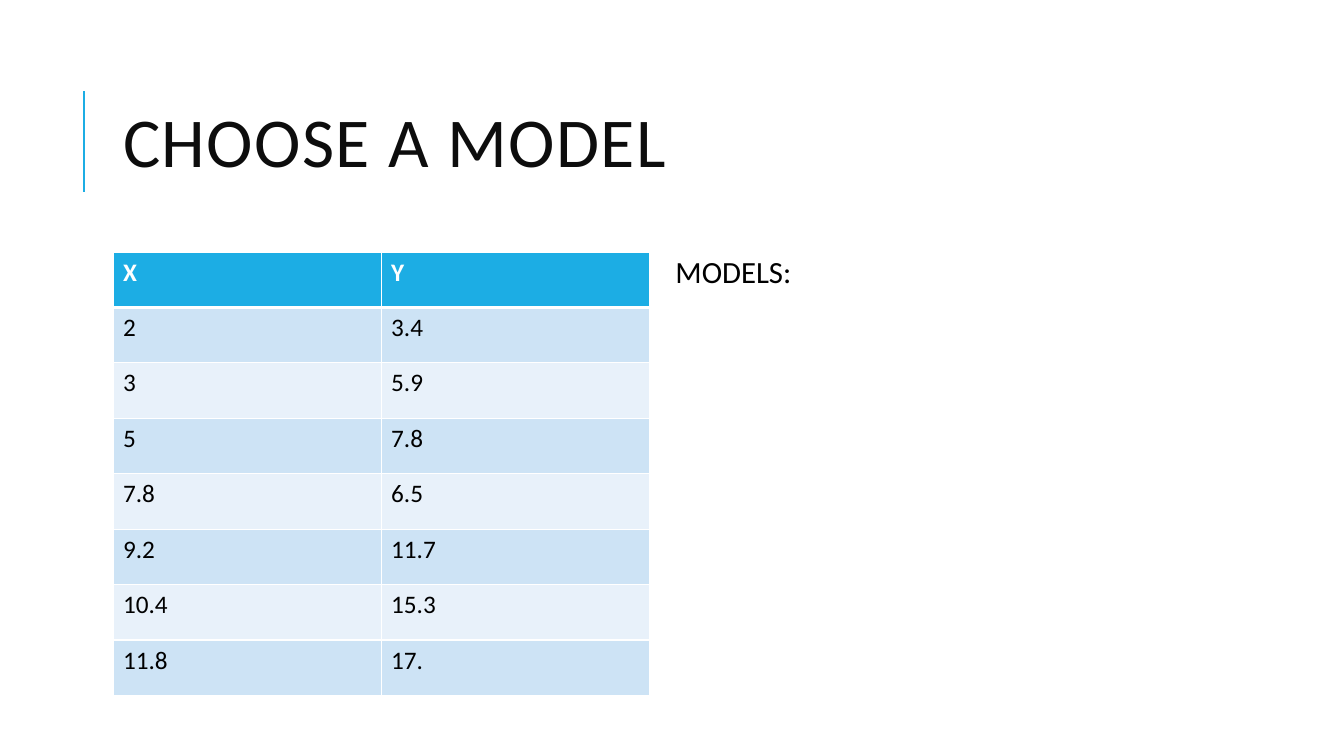
from pptx import Presentation
from pptx.dml.color import RGBColor
from pptx.enum.shapes import MSO_CONNECTOR
from pptx.enum.text import MSO_ANCHOR, PP_ALIGN
from pptx.oxml.ns import qn
from pptx.util import Inches, Pt
from lxml import etree

STRAIGHT = MSO_CONNECTOR.STRAIGHT
MIDDLE = MSO_ANCHOR.MIDDLE
LEFT = PP_ALIGN.LEFT

WHITE = RGBColor(0xFF, 0xFF, 0xFF)
BLACK = RGBColor(0x00, 0x00, 0x00)
INK = RGBColor(0x0D, 0x0D, 0x0D)
ACCENT = RGBColor(0x1C, 0xAD, 0xE4)
BANDS = (RGBColor(0xE8, 0xF1, 0xFA), RGBColor(0xCD, 0xE3, 0xF5))
FONT = "Calibri"
TITLE_ONLY = 5

DATA = [
    ("X", "Y"),
    ("2", "3.4"),
    ("3", "5.9"),
    ("5", "7.8"),
    ("7.8", "6.5"),
    ("9.2", "11.7"),
    ("10.4", "15.3"),
    ("11.8", "17."),
]


def format_text(paragraph, text, size, color, bold=False):
    paragraph.text = text
    paragraph.alignment = LEFT
    font = paragraph.font
    font.name, font.size, font.bold = FONT, Pt(size), bold
    font.color.rgb = color


def add_title(slide, left, top, width, height):
    title = slide.shapes.title
    title.left, title.top = Inches(left), Inches(top)
    title.width, title.height = Inches(width), Inches(height)
    frame = title.text_frame
    frame.vertical_anchor = MIDDLE
    frame.word_wrap = True
    paragraph = frame.paragraphs[0]
    format_text(paragraph, "CHOOSE A MODEL", 50, INK)
    paragraph.line_spacing = 0.8
    paragraph.runs[0]._r.get_or_add_rPr().set("spc", "100")

    rule_left = Inches(left - 0.29)
    rule = slide.shapes.add_connector(
        STRAIGHT, rule_left, Inches(top + 1.26), rule_left, Inches(top + 0.26))
    rule.line.color.rgb = ACCENT
    rule.line.width = Pt(1.5)
    etree.SubElement(rule._element.spPr, qn("a:effectLst"))


def set_borders(cell, bottom_width):
    properties = cell._tc.get_or_add_tcPr()
    widths = {"a:lnL": 1, "a:lnR": 1, "a:lnT": 1, "a:lnB": bottom_width}
    for side, width in widths.items():
        border = etree.SubElement(properties, qn(side), w=str(Pt(width)))
        fill = etree.SubElement(border, qn("a:solidFill"))
        etree.SubElement(fill, qn("a:srgbClr"), val=str(WHITE))


def add_data_table(slide, left, top, width, height):
    table = slide.shapes.add_table(
        len(DATA), len(DATA[0]), Inches(left), Inches(top),
        Inches(width), Inches(height)).table
    for row_index, values in enumerate(DATA):
        header = row_index == 0
        for column_index, value in enumerate(values):
            cell = table.cell(row_index, column_index)
            set_borders(cell, 3 if header else 1)
            cell.fill.solid()
            cell.fill.fore_color.rgb = ACCENT if header else BANDS[row_index % 2]
            format_text(cell.text_frame.paragraphs[0], value, 18,
                        WHITE if header else BLACK, header)


def add_models(slide, left, top, width, height):
    box = slide.shapes.add_textbox(
        Inches(left), Inches(top), Inches(width), Inches(height))
    frame = box.text_frame
    frame.word_wrap = True
    frame.margin_left = Inches(0.15)
    frame.margin_top = frame.margin_right = frame.margin_bottom = Inches(0.05)
    paragraph = frame.paragraphs[0]
    format_text(paragraph, "MODELS:", 22, BLACK)
    paragraph.line_spacing = 0.9


presentation = Presentation()
presentation.slide_width = Inches(13.33)
presentation.slide_height = Inches(7.5)
slide = presentation.slides.add_slide(presentation.slide_layouts[TITLE_ONLY])
add_title(slide, 1.12, 0.64, 10.63, 1.64)
add_data_table(slide, 1.12, 2.5, 5.32, 4.4)
add_models(slide, 6.55, 2.5, 5.2, 4.4)
presentation.save("out.pptx")
